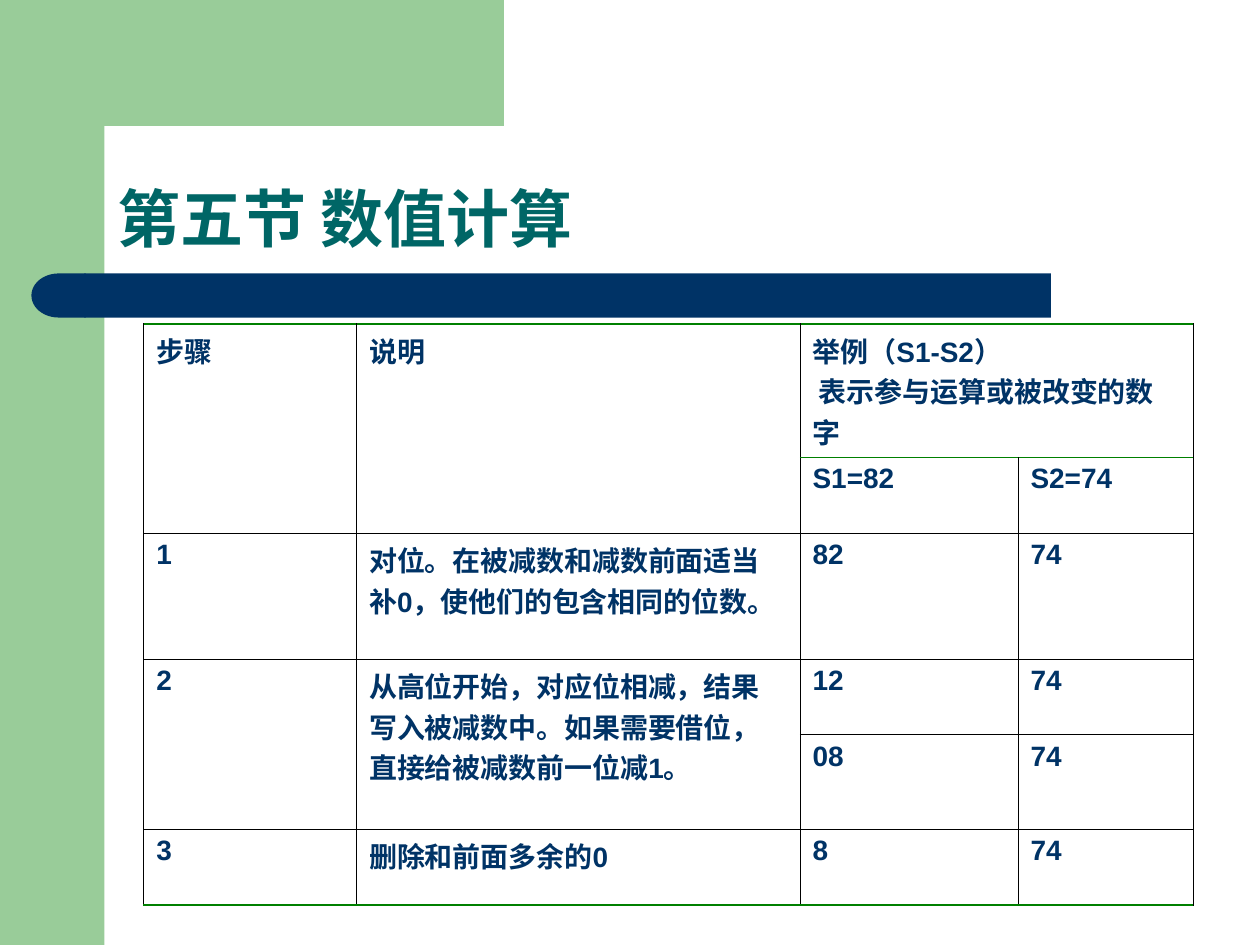
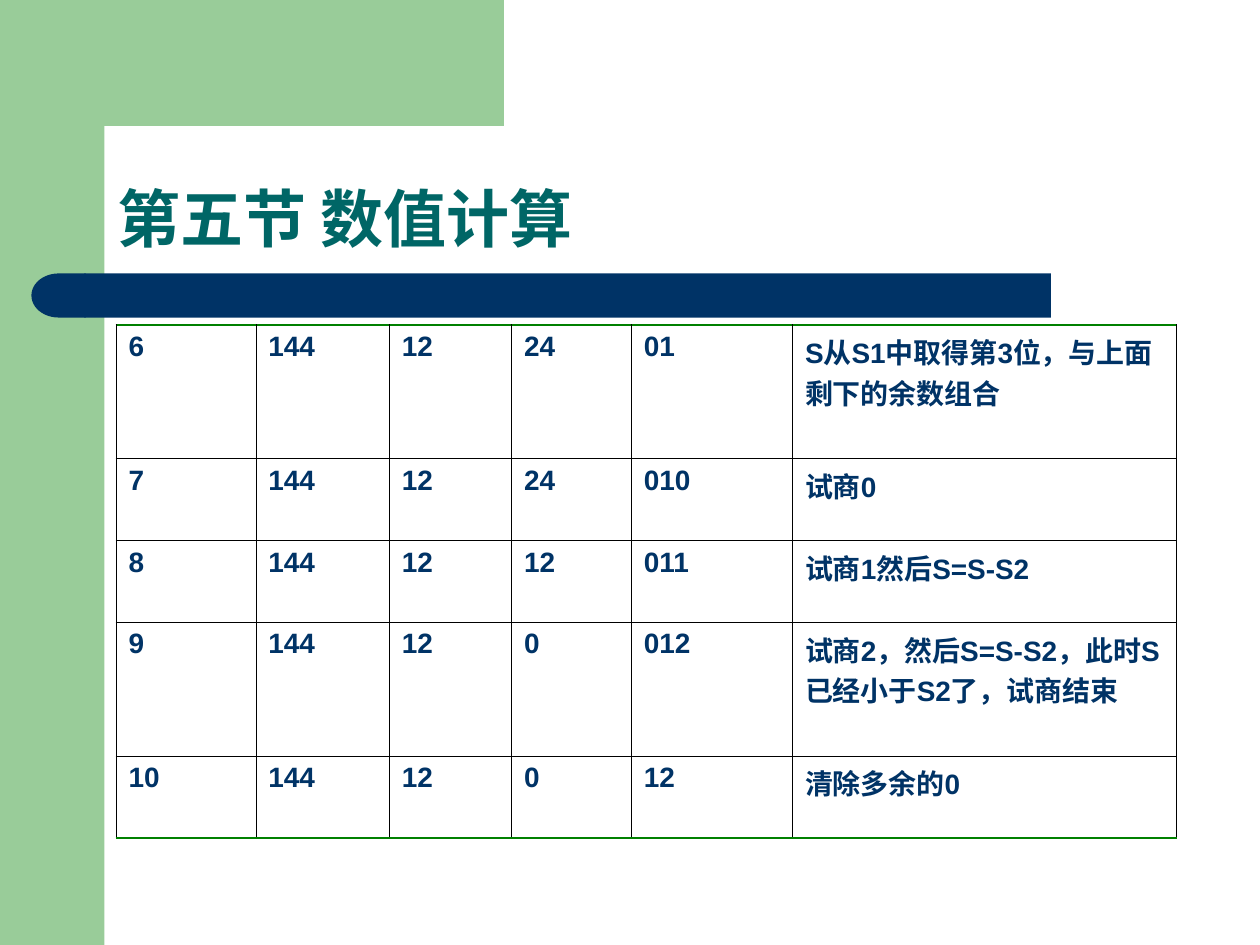
import math
import pptx
import pptx.dml.color
import pptx.enum.shapes
import pptx.enum.text
import pptx.oxml
import pptx.oxml.ns
import pptx.util

Inches = pptx.util.Inches
Pt = pptx.util.Pt
RGB = pptx.dml.color.RGBColor
Kind = pptx.enum.shapes.MSO_SHAPE

LEAF = RGB(0x99, 0xCC, 0x99)
NAVY = RGB(0x00, 0x33, 0x66)
TEAL = RGB(0x00, 0x66, 0x66)
GREEN = RGB(0x00, 0x80, 0x00)
BLACK = RGB(0x00, 0x00, 0x00)
FONT = "Arial"


def write(frame, text, size=16, color=NAVY, spacing=None):
    frame.text = text
    for par in frame.paragraphs:
        par.alignment = pptx.enum.text.PP_ALIGN.LEFT
        par.line_spacing = spacing
        par.font.name = FONT
        par.font.size = Pt(size)
        par.font.bold = True
        par.font.color.rgb = color


def rule(cell, side, color, width):
    cell._tc.get_or_add_tcPr().append(pptx.oxml.parse_xml(
        f'<a:ln{side} {pptx.oxml.ns.nsdecls("a")} w="{Pt(width)}">'
        f'<a:solidFill><a:srgbClr val="{color}"/></a:solidFill>'
        f'</a:ln{side}>'))


deck = pptx.Presentation()
deck.slide_width = Inches(10)
deck.slide_height = Inches(7.5)
layout = deck.slide_layouts[5]

head = layout.placeholders[0]
head.left, head.top = Inches(0.83), Inches(0.83)
head.width, head.height = Inches(8.67), Inches(1.25)

pages = [
    {
        "at": (1.14, 2.57),
        "cols": [1.69, 3.52, 1.73, 1.39],
        "rows": [1, 0.6, 1, 0.6, 0.75, 0.6],
        "spans": [(0, 0, 1, 0), (0, 1, 1, 1), (0, 2, 0, 3),
                  (3, 0, 4, 0), (3, 1, 4, 1)],
        "split": True,
        "cells": [
            ["步骤", "说明", "举例（S1-S2）\n 表示参与运算或被改变的数字", ""],
            ["", "", "S1=82", "S2=74"],
            ["1", "对位。在被减数和减数前面适当补0，使他们的包含相同的位数。", "82", "74"],
            ["2", "从高位开始，对应位相减，结果写入被减数中。如果需要借位，直接给被减数前一位减1。", "12", "74"],
            ["", "", "08", "74"],
            ["3", "删除和前面多余的0", "8", "74"],
        ],
    },
    {
        "at": (0.92, 2.58),
        "cols": [1.11, 1.06, 0.97, 0.95, 1.28, 3.05],
        "rows": [1.06, 0.65, 0.65, 1.06, 0.65],
        "spans": [],
        "split": False,
        "cells": [
            ["6", "144", "12", "24", "01", "S从S1中取得第3位，与上面剩下的余数组合"],
            ["7", "144", "12", "24", "010", "试商0"],
            ["8", "144", "12", "12", "011", "试商1然后S=S-S2"],
            ["9", "144", "12", "0", "012", "试商2，然后S=S-S2，此时S已经小于S2了，试商结束"],
            ["10", "144", "12", "0", "12", "清除多余的0"],
        ],
    },
]
slides = [deck.slides.add_slide(layout) for page in pages]

shapes = slides[0].shapes
side = shapes.add_shape(Kind.RECTANGLE, 0, 0, Inches(0.83), Inches(7.5))
turns = [math.radians(9 * step) for step in range(11)]
curve = [(1.16 - 0.33 * math.sin(a), 1.16 - 0.33 * math.cos(a)) for a in turns]
pen = shapes.build_freeform(3.5, 0, scale=Inches(1))
pen.add_line_segments([(3.5, 0.83), *curve, (0.83, 1.28), (0.5, 1.28), (0.5, 0)])
corner = pen.convert_to_shape()
bar = shapes.add_shape(Kind.ROUNDED_RECTANGLE, Inches(0.67), Inches(2.17),
                       Inches(7.67), Inches(0.35))
bar.adjustments[0] = 0
cap = shapes.add_shape(Kind.FLOWCHART_DELAY, Inches(0.25), Inches(2.17),
                       Inches(0.43), Inches(0.35))
cap.element.spPr.get_or_add_xfrm().set("flipH", "1")

decor = [(side, LEAF), (corner, LEAF), (bar, NAVY), (cap, NAVY)]
for order, (shape, color) in enumerate(decor):
    shape.shadow.inherit = False
    shape.fill.solid()
    shape.fill.fore_color.rgb = color
    shape.line.fill.background()
    layout.shapes.element.insert(2 + order, shape.element)

for slide, page in zip(slides, pages):
    frame = slide.shapes.title.text_frame
    frame.auto_size = pptx.enum.text.MSO_AUTO_SIZE.NONE
    frame.vertical_anchor = pptx.enum.text.MSO_ANCHOR.BOTTOM
    write(frame, "第五节 数值计算", size=36, color=TEAL, spacing=0.9)

    cols, rows = page["cols"], page["rows"]
    left, top = page["at"]
    table = slide.shapes.add_table(
        len(rows), len(cols), Inches(left), Inches(top),
        Inches(sum(cols)), Inches(sum(rows))).table
    table.first_row = False
    table.horz_banding = False
    for col, width in zip(table.columns, cols):
        col.width = Inches(width)
    for row, height in zip(table.rows, rows):
        row.height = Inches(height)
    for r1, c1, r2, c2 in page["spans"]:
        table.cell(r1, c1).merge(table.cell(r2, c2))

    for r, line in enumerate(page["cells"]):
        for c, text in enumerate(line):
            cell = table.cell(r, c)
            if cell.is_spanned:
                continue
            write(cell.text_frame, text)
            edges = dict.fromkeys("LRTB", (BLACK, 0.34))
            if r == 0:
                edges["T"] = (GREEN, 0.96)
            if r == len(rows) - 1:
                edges["B"] = (GREEN, 0.96)
            if page["split"] and c >= 2 and r < 2:
                edges["TB"[r == 0]] = (GREEN, 0.45)
            for name, (color, width) in edges.items():
                rule(cell, name, color, width)
            cell.fill.background()

deck.save("out.pptx")
